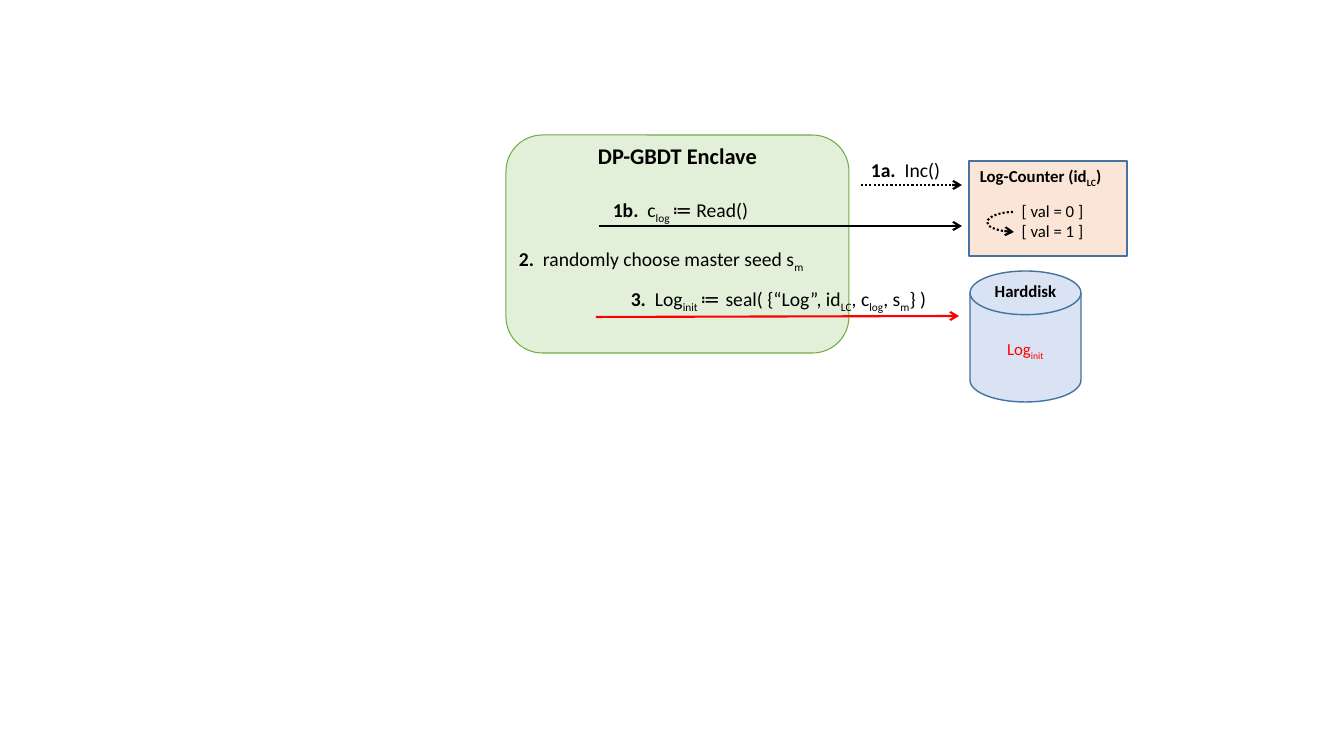
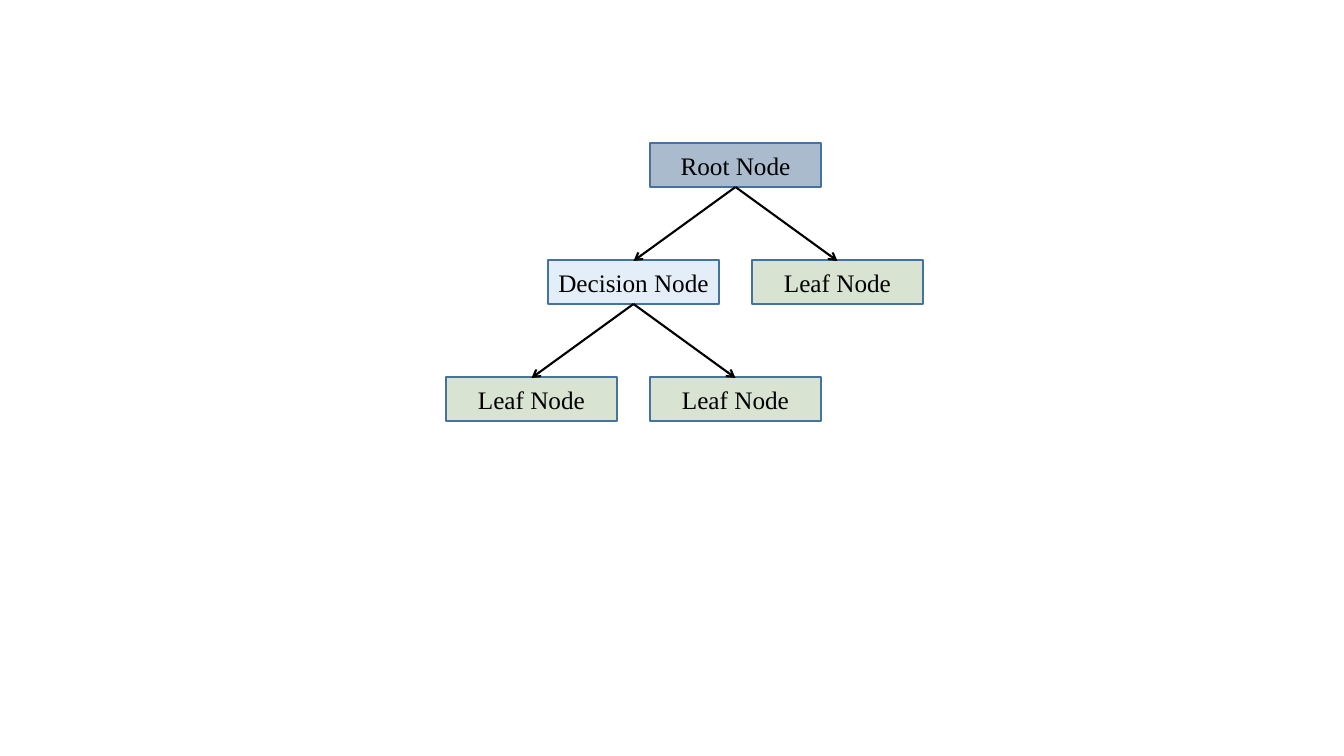
from lxml import etree
from pptx import Presentation, util as u
from pptx.dml.color import RGBColor
from pptx.enum import dml, shapes, text
from pptx.oxml import ns

PX = 914400 / 100.8
BLACK = RGBColor(0x00, 0x00, 0x00)
RED = RGBColor(0xFF, 0x00, 0x00)
OUTLINE = RGBColor(0x43, 0x73, 0x9E)
ENCLAVE_FILL = RGBColor(0xE2, 0xF0, 0xD9)
ENCLAVE_LINE = RGBColor(0x70, 0xAD, 0x47)
COUNTER_FILL = RGBColor(0xFB, 0xE5, 0xD6)
DISK_FILL = RGBColor(0xDA, 0xE3, 0xF3)
ROOT_FILL = RGBColor(0x1F, 0x4E, 0x79)
DECISION_FILL = RGBColor(0x5B, 0x9B, 0xD5)
LEAF_FILL = RGBColor(0x54, 0x82, 0x35)

KIND = shapes.MSO_SHAPE
STRAIGHT = shapes.MSO_CONNECTOR.STRAIGHT
CURVE = shapes.MSO_CONNECTOR.CURVE
DOTS = dml.MSO_LINE.ROUND_DOT
LEFT, CENTER = text.PP_ALIGN.LEFT, text.PP_ALIGN.CENTER
PLAIN, BOLD, SUB, SYMBOL = "plain", "bold", "sub", "symbol"


def add_box(s, kind, bounds, fill, line=OUTLINE, width=1, opacity=100):
    """Add a filled, outlined shape; bounds are pixels, opacity is percent."""
    sp = s.shapes.add_shape(kind, *[round(v * PX) for v in bounds])
    sp.shadow.inherit = False
    sp.fill.solid()
    sp.fill.fore_color.rgb = fill
    sp.line.color.rgb = line
    sp.line.width = u.Pt(width)
    if opacity < 100:
        color = sp._element.spPr.find(ns.qn("a:solidFill"))[0]
        etree.SubElement(color, ns.qn("a:alpha")).set("val", str(opacity * 1000))
    return sp


def write(sp, lines, size, font="Calibri", color=BLACK, bold=False, align=CENTER):
    """Fill a shape with lines, each a list of (words, style) runs."""
    tf = sp.text_frame
    tf.word_wrap = False
    tf.vertical_anchor = text.MSO_ANCHOR.MIDDLE
    tf.margin_left = tf.margin_right = tf.margin_top = tf.margin_bottom = 0
    for i, runs in enumerate(lines):
        p = tf.add_paragraph() if i else tf.paragraphs[0]
        p.alignment = align
        p.font.size, p.font.name, p.font.bold = u.Pt(size), font, bold
        p.font.color.rgb = color
        for words, style in runs:
            r = p.add_run()
            r.text = words
            if style == BOLD:
                r.font.bold = True
            elif style == SYMBOL:
                r.font.name = "Arial"
            elif style == SUB:
                r._r.get_or_add_rPr().set("baseline", "-25000")


prs = Presentation()
prs.slide_width, prs.slide_height = round(1344 * PX), round(756 * PX)
blank = prs.slide_layouts[6]

# Slide 1: enclave, log counter and hard disk
enclave_slide = s = prs.slides.add_slide(blank)
add_box(s, KIND.ROUNDED_RECTANGLE, (506, 135, 343, 218), ENCLAVE_FILL, ENCLAVE_LINE, 0.75)
add_box(s, KIND.RECTANGLE, (969, 161, 158, 95), COUNTER_FILL)
add_box(s, KIND.FLOWCHART_MAGNETIC_DISK, (970, 271, 111, 131), DISK_FILL)

labels = [
    ((569, 137, 217, 37), [[("DP-GBDT Enclave", PLAIN)]], 16, {"bold": True}),
    ((826, 158, 159, 24), [[("1a.", BOLD), ("  Inc()", PLAIN)]], 14, {}),
    ((594, 199, 173, 24), [[("1b.", BOLD), ("  c", PLAIN), ("log ", SUB),
                            ("≔", SYMBOL), (" Read()", PLAIN)]], 14, {}),
    ((519, 248, 319, 24), [[("2.", BOLD), ("  randomly choose master seed s", PLAIN),
                            ("m ", SUB)]], 14, {"align": LEFT}),
    ((599, 288, 359, 24), [[("3.", BOLD), ("  Log", PLAIN), ("init ", SUB), ("≔ ", SYMBOL),
                            ("seal( {“Log”, id", PLAIN), ("LC", SUB), (", c", PLAIN),
                            ("log", SUB), (", s", PLAIN), ("m", SUB), ("} )", PLAIN)]], 14, {}),
    ((980, 162, 142, 30), [[("Log-Counter (id", PLAIN), ("LC", SUB), (")", PLAIN)]], 12,
     {"bold": True, "align": LEFT}),
    ((1002, 196, 101, 50), [[("[ val = 0 ]", PLAIN)], [("[ val = 1 ]", PLAIN)]], 12, {}),
    ((979, 281, 93, 20), [[("Harddisk", PLAIN)]], 12, {"bold": True}),
    ((992, 340, 67, 20), [[("Log", PLAIN), ("init", SUB)]], 12, {"color": RED}),
]
for bounds, lines, size, style in labels:
    write(s.shapes.add_textbox(*[round(v * PX) for v in bounds]), lines, size, **style)

arrows = [
    (s, STRAIGHT, (861, 185, 962, 185), BLACK, DOTS),
    (s, STRAIGHT, (599, 226, 962, 226), BLACK, None),
    (s, STRAIGHT, (596, 317, 959, 316), RED, None),
    (s, CURVE, (1013, 212, 1014, 232), BLACK, DOTS),
]
CURVE_BULGE = -26  # in widths of the curve, which is one pixel wide

# Slide 2: decision tree on a grid of half columns and levels
tree_slide = s = prs.slides.add_slide(blank)
NODE_W, NODE_H = 171, 44
LEFT_EDGE, TOP_EDGE, HALF_COLUMN, LEVEL = 446, 143, 102, 117
nodes = [
    ("Root Node", 2, 0, ROOT_FILL, 38, None),
    ("Decision Node", 1, 1, DECISION_FILL, 16, 0),
    ("Leaf Node", 3, 1, LEAF_FILL, 22, 0),
    ("Leaf Node", 0, 2, LEAF_FILL, 22, 1),
    ("Leaf Node", 2, 2, LEAF_FILL, 22, 1),
]
corners = [(LEFT_EDGE + col * HALF_COLUMN, TOP_EDGE + row * LEVEL)
           for _, col, row, *_ in nodes]
for (name, _, _, fill, opacity, parent), (x, y) in zip(nodes, corners):
    node = add_box(s, KIND.RECTANGLE, (x, y, NODE_W, NODE_H), fill, opacity=opacity)
    write(node, [[(name, PLAIN)]], 18, "Times New Roman")
    if parent is not None:
        px, py = corners[parent]
        ends = (px + NODE_W / 2, py + NODE_H, x + NODE_W / 2, y + 1)
        arrows.append((s, STRAIGHT, ends, BLACK, None))

# Arrows of both slides
for s, kind, ends, color, dash in arrows:
    arrow = s.shapes.add_connector(kind, *[round(v * PX) for v in ends])
    arrow.line.color.rgb = color
    arrow.line.width = u.Pt(1.5)
    if dash:
        arrow.line.dash_style = dash
    etree.SubElement(arrow.line._get_or_add_ln(), ns.qn("a:tailEnd")).set("type", "arrow")
    spPr = arrow._element.spPr
    etree.SubElement(spPr, ns.qn("a:effectLst"))
    if kind == CURVE:
        guide = etree.SubElement(spPr.prstGeom.get_or_add_avLst(), ns.qn("a:gd"))
        guide.set("name", "adj1")
        guide.set("fmla", f"val {CURVE_BULGE * 100000}")

prs.save("out.pptx")
